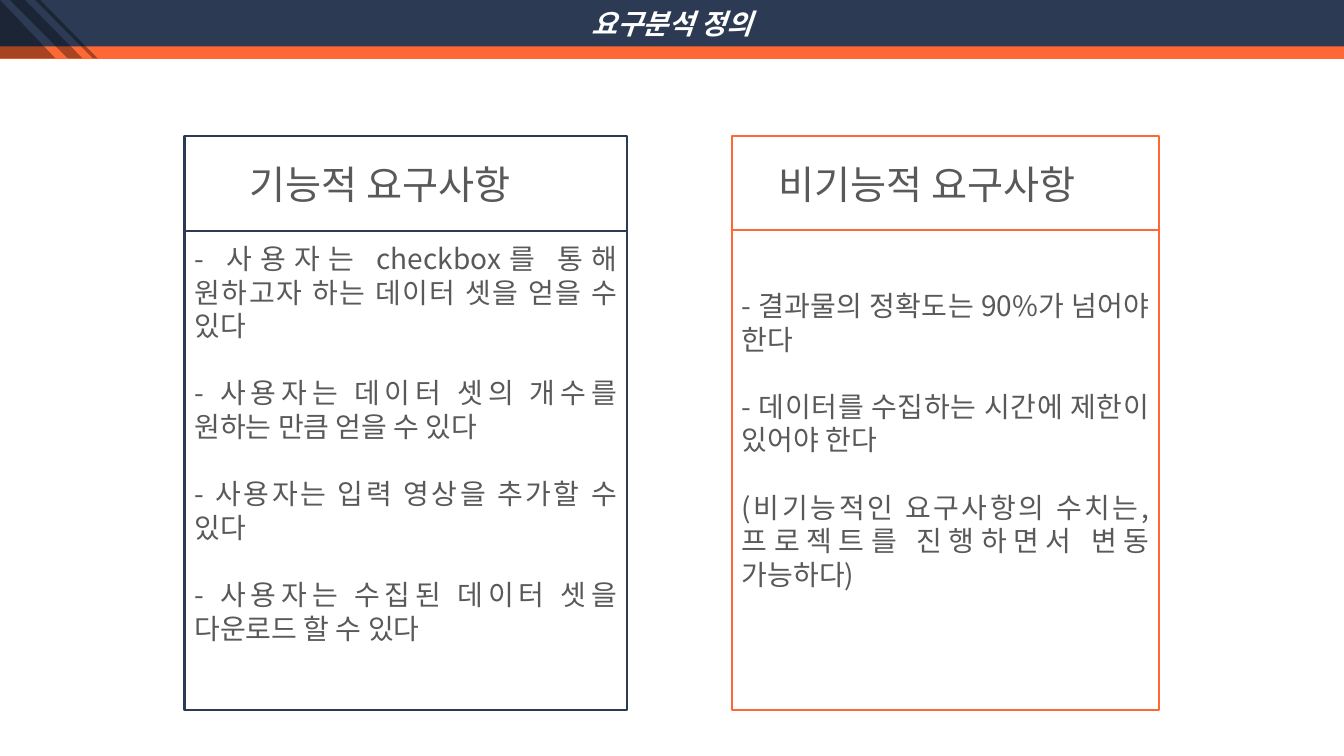
import pptx
import pptx.util
import pptx.dml.color
import pptx.enum.shapes
import pptx.enum.text
import pptx.oxml
import pptx.oxml.ns

Pt = pptx.util.Pt
Shape = pptx.enum.shapes.MSO_SHAPE
Anchor = pptx.enum.text.MSO_ANCHOR
Align = pptx.enum.text.PP_ALIGN


class RequirementsSlide:
    """Draws the banner and the requirement cards in one shared style."""

    colors = {"navy": "2C3A54", "orange": "FF6834", "gray": "595959",
              "white": "FFFFFF", "black": "000000"}
    body_font = "Noto Sans CJK KR"
    heading_font = "Arial"
    line_height = 24

    def __init__(self, deck):
        self.slide = deck.slides.add_slide(deck.slide_layouts[6])

    def color(self, name):
        return pptx.dml.color.RGBColor.from_string(self.colors[name])

    def shape(self, kind, left, top, width, height, fill=None, line=None, weight=1.5):
        shape = self.slide.shapes.add_shape(kind, Pt(left), Pt(top), Pt(width), Pt(height))
        shape.shadow.inherit = False
        if fill:
            shape.fill.solid()
            shape.fill.fore_color.rgb = self.color(fill)
        else:
            shape.fill.background()
        if line:
            shape.line.color.rgb = self.color(line)
            shape.line.width = Pt(weight)
        else:
            shape.line.fill.background()
        return shape

    def shade(self, kind, left, width, height):
        shape = self.shape(kind, left, 0, width, height, "black")
        fill = shape.element.spPr.find(pptx.oxml.ns.qn("a:solidFill"))
        fill[0].append(pptx.oxml.parse_xml(
            f'<a:alpha {pptx.oxml.ns.nsdecls("a")} val="35000"/>'))
        return shape

    def stripe(self, left, width, height):
        shape = self.shade(Shape.PARALLELOGRAM, left, width, height)
        shape.adjustments[0] = 0.987
        shape.rotation = 180
        shape.element.spPr.get_or_add_xfrm().set("flipV", "1")

    def rule(self, left, top, width, color):
        line = self.slide.shapes.add_connector(
            pptx.enum.shapes.MSO_CONNECTOR.STRAIGHT,
            Pt(left), Pt(top), Pt(left + width), Pt(top))
        line.line.color.rgb = self.color(color)
        line.line.width = Pt(1.5)
        line.element.spPr.append(pptx.oxml.parse_xml(
            f'<a:effectLst {pptx.oxml.ns.nsdecls("a")}/>'))

    def set_text(self, shape, texts, size, font, color, align, anchor, gap=0, bold=False):
        frame = shape.text_frame
        frame.word_wrap = True
        frame.vertical_anchor = anchor
        for index, text in enumerate(texts):
            para = frame.paragraphs[0] if index == 0 else frame.add_paragraph()
            para.text = text
            para.alignment = align
            if index and gap:
                para.space_before = Pt(gap)
            para.font.size = Pt(size)
            para.font.name = font
            para.font.bold = para.font.italic = bold
            para.font.color.rgb = self.color(color)

    def banner(self, title):
        self.shape(Shape.RECTANGLE, 0, 33.12, 960, 8.64, "orange", "orange", 1)
        bar = self.shape(Shape.RECTANGLE, 0, 0, 960, 33.12, "navy")
        self.set_text(bar, [title], 20, self.body_font, "white",
                      Align.CENTER, Anchor.MIDDLE, bold=True)
        self.shade(Shape.RIGHT_TRIANGLE, 0, 39.6, 41.76)
        self.stripe(7.2, 51.84, 41.76)
        self.stripe(25.2, 44.64, 41.76)

    def card(self, left, width, color, rule_top, heading, heading_left, heading_width,
             items, head_gap):
        box = self.shape(Shape.RECTANGLE, left, 97.2, width, 409.68, line=color)
        box.text_frame.margin_top = Pt(3.6 + head_gap)
        self.set_text(box, items, 20, self.body_font, "gray",
                      Align.JUSTIFY, Anchor.MIDDLE, self.line_height)
        self.rule(left, rule_top, width, color)
        label = self.slide.shapes.add_textbox(
            Pt(heading_left), Pt(110.88), Pt(heading_width), Pt(63.36))
        self.set_text(label, [heading], 28, self.heading_font, "gray",
                      Align.LEFT, Anchor.TOP)


def main():
    deck = pptx.Presentation()
    deck.slide_width, deck.slide_height = Pt(960), Pt(540)
    page = RequirementsSlide(deck)
    page.banner("요구분석 정의")
    page.card(131.76, 316.08, "navy", 164.88, "기능적 요구사항", 171.36, 226.8, [
        "- 사용자는 checkbox를 통해 원하고자 하는 데이터 셋을 얻을 수 있다",
        "- 사용자는 데이터 셋의 개수를 원하는 만큼 얻을 수 있다",
        "- 사용자는 입력 영상을 추가할 수 있다",
        "- 사용자는 수집된 데이터 셋을 다운로드 할 수 있다",
    ], head_gap=28.8)
    page.card(522.72, 305.28, "orange", 164.16, "비기능적 요구사항", 549.36, 252, [
        "- 결과물의 정확도는 90%가 넘어야 한다",
        "- 데이터를 수집하는 시간에 제한이 있어야 한다",
        "(비기능적인 요구사항의 수치는, 프로젝트를 진행하면서 변동 가능하다)",
    ], head_gap=24)
    deck.save("out.pptx")


if __name__ == "__main__":
    main()
